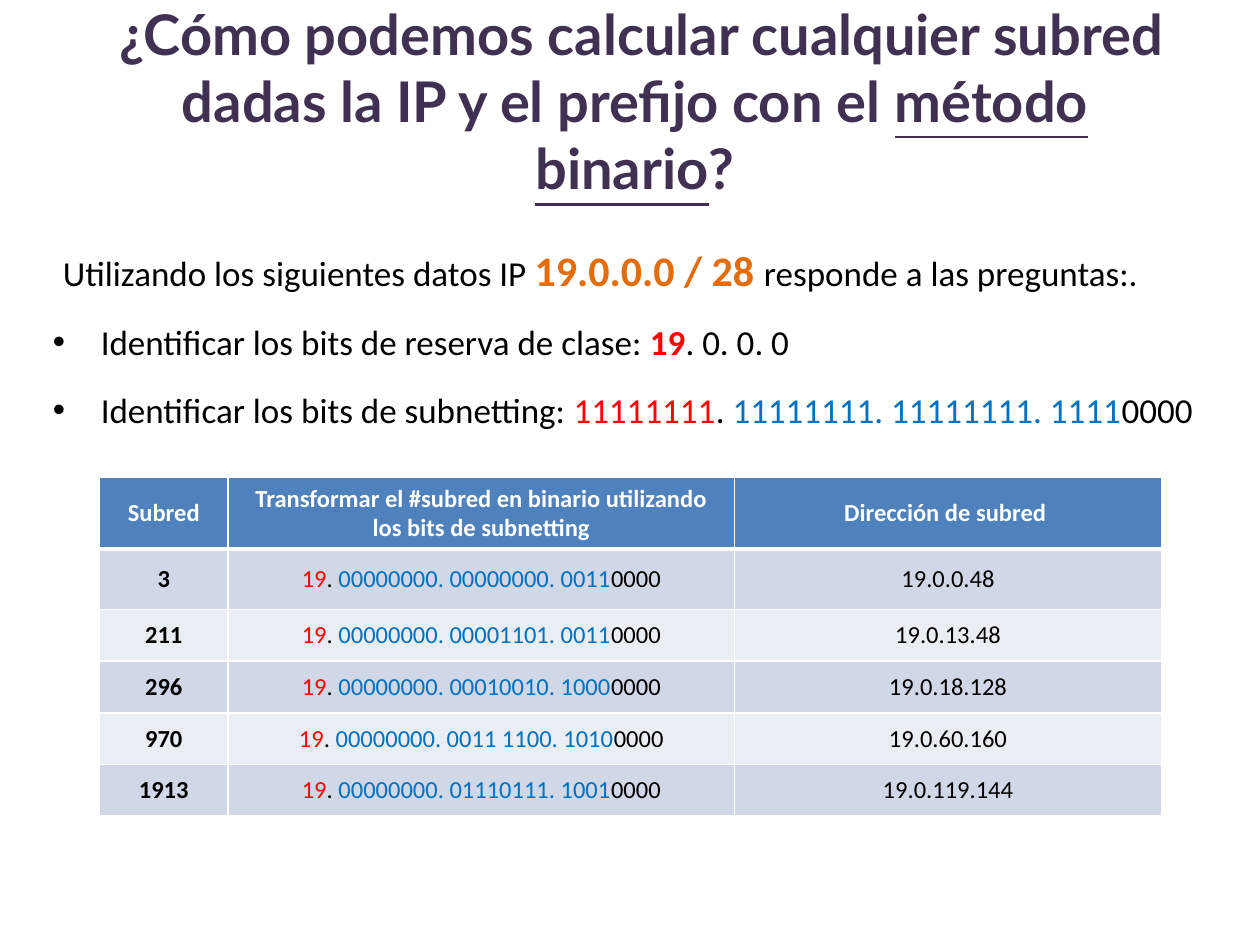
from lxml import etree
from pptx import Presentation
from pptx.dml.color import RGBColor
from pptx.enum.text import MSO_ANCHOR, MSO_AUTO_SIZE, PP_ALIGN
from pptx.oxml.ns import qn
from pptx.util import Inches, Pt

CENTER, JUSTIFY = PP_ALIGN.CENTER, PP_ALIGN.JUSTIFY
MIDDLE, TOP = MSO_ANCHOR.MIDDLE, MSO_ANCHOR.TOP
GROW, NO_FIT = MSO_AUTO_SIZE.SHAPE_TO_FIT_TEXT, MSO_AUTO_SIZE.NONE

COLORS = {
    "title": "403152", "black": "000000", "white": "FFFFFF",
    "ip": "E46C0A", "class": "FF0000", "subnet": "0070C0",
    "header": "4F81BD", "odd": "D0D8E8", "even": "E9EDF4",
}

# Subnet number, binary subnet bits, subnet address
SUBNETS = [
    ("3", "00000000. 00000000. 0011", "19.0.0.48"),
    ("211", "00000000. 00001101. 0011", "19.0.13.48"),
    ("296", "00000000. 00010010. 1000", "19.0.18.128"),
    ("970", "00000000. 0011 1100. 1010", "19.0.60.160"),
    ("1913", "00000000. 01110111. 1001", "19.0.119.144"),
]
HEADERS = ["Subred",
           "Transformar el #subred en binario utilizando los bits de subnetting",
           "Dirección de subred "]


def rgb(name):
    return RGBColor.from_string(COLORS[name])


def add_run(p, text, size, color="black", bold=False, underline=False,
            font="Calibri"):
    r = p.add_run()
    r.text = text
    r.font.name = font
    r.font.size = Pt(size)
    r.font.bold = bold
    r.font.underline = underline
    r.font.color.rgb = rgb(color)


def add_text_box(slide, left, top, width, height, anchor, auto_size):
    sp = slide.shapes.add_textbox(Inches(left), Inches(top),
                                  Inches(width), Inches(height))
    tf = sp.text_frame
    tf.word_wrap = True
    tf.auto_size = auto_size
    tf.vertical_anchor = anchor
    return tf


def set_indent(p, margin, first=0, bullet=None):
    pPr = p._p.get_or_add_pPr()
    pPr.set("marL", str(Inches(margin)))
    pPr.set("indent", str(Inches(first)))
    if bullet:
        etree.SubElement(pPr, qn("a:buFont"), typeface="Arial")
        etree.SubElement(pPr, qn("a:buChar"), char=bullet)


def set_borders(cell, bottom):
    tcPr = cell._tc.get_or_add_tcPr()
    for side, width in (("L", 1), ("R", 1), ("T", 1), ("B", bottom)):
        ln = etree.SubElement(tcPr, qn(f"a:ln{side}"), w=str(Pt(width)))
        fill = etree.SubElement(ln, qn("a:solidFill"))
        etree.SubElement(fill, qn("a:srgbClr"), val=COLORS["white"])


def fill_cell(cell, runs, fill, bottom=1):
    set_borders(cell, bottom)
    cell.fill.solid()
    cell.fill.fore_color.rgb = rgb(fill)
    cell.vertical_anchor = MIDDLE
    p = cell.text_frame.paragraphs[0]
    p.alignment = CENTER
    for text, color, bold in runs:
        add_run(p, text, 14, color, bold)


def add_title(slide):
    tf = add_text_box(slide, 0.67, 0.17, 8.74, 1.25, MIDDLE, NO_FIT)
    p = tf.paragraphs[0]
    p.alignment = CENTER
    for text, underline in (
            (" ¿Cómo podemos calcular cualquier subred dadas la IP y el "
             "prefijo con el ", False),
            ("método binario", True), ("?", False)):
        add_run(p, text, 32, "title", True, underline, "Lato")


def add_statement(slide):
    tf = add_text_box(slide, 0.41, 1.94, 9.17, 1.5, TOP, GROW)
    tf.margin_left = tf.margin_right = tf.margin_top = tf.margin_bottom = 0

    # Given data
    p = tf.paragraphs[0]
    p.alignment = JUSTIFY
    set_indent(p, 0.09)
    add_run(p, "Utilizando los siguientes datos IP ", 20)
    add_run(p, "19.0.0.0 / 28 ", 24, "ip", True)
    add_run(p, "responde a las preguntas:.", 20)

    # Steps
    steps = [
        [("Identificar los bits de reserva de clase: ", "black", False),
         ("19", "class", True), (". 0. 0. 0 ", "black", False)],
        [("Identificar los bits de subnetting: ", "black", False),
         ("11111111", "class", False), (". ", "black", False),
         ("11111111. 11111111. 1111", "subnet", False),
         ("0000", "black", False)],
    ]
    for runs in steps:
        p = tf.add_paragraph()
        p.alignment = JUSTIFY
        set_indent(p, 0.39, -0.38, "•")
        p.space_before = Pt(14.8)
        for text, color, bold in runs:
            add_run(p, text, 20, color, bold)


def add_subnet_table(slide):
    widths = [1.02, 4.02, 3.39]
    heights = [0.56, 0.48] + [0.41] * 4
    table = slide.shapes.add_table(
        len(heights), len(widths), Inches(0.79), Inches(3.79),
        Inches(sum(widths)), Inches(sum(heights))).table
    for column, width in zip(table.columns, widths):
        column.width = Inches(width)
    for row, height in zip(table.rows, heights):
        row.height = Inches(height)

    for col, text in enumerate(HEADERS):
        fill_cell(table.cell(0, col), [(text, "white", True)], "header", 3)
    for row, (number, bits, address) in enumerate(SUBNETS, 1):
        contents = [
            [(number, "black", True)],
            [("19", "class", False), (". ", "black", False),
             (bits, "subnet", False), ("0000", "black", False)],
            [(address, "black", False)],
        ]
        for col, runs in enumerate(contents):
            fill_cell(table.cell(row, col), runs, "odd" if row % 2 else "even")


def main():
    prs = Presentation()
    prs.slide_width, prs.slide_height = Inches(10), Inches(7.5)
    slide = prs.slides.add_slide(prs.slide_layouts[6])
    add_statement(slide)
    add_title(slide)
    add_subnet_table(slide)
    prs.save("out.pptx")


if __name__ == "__main__":
    main()
